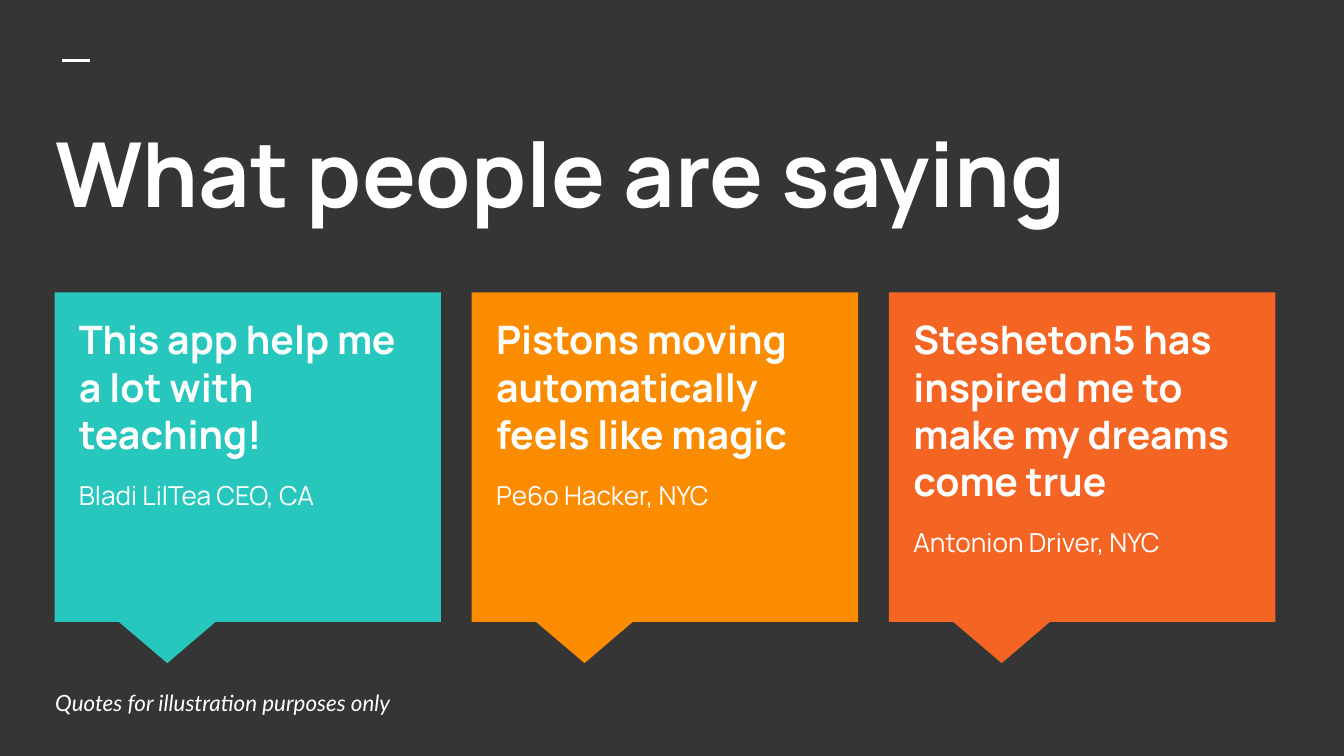
from lxml import etree
from pptx import Presentation
from pptx.dml.color import RGBColor
from pptx.enum.shapes import MSO_CONNECTOR, MSO_SHAPE
from pptx.enum.text import MSO_ANCHOR
from pptx.oxml.ns import qn
from pptx.util import Pt

STRAIGHT = MSO_CONNECTOR.STRAIGHT
CALLOUT = MSO_SHAPE.RECTANGULAR_CALLOUT
TOP, MIDDLE = MSO_ANCHOR.TOP, MSO_ANCHOR.MIDDLE

DARK = RGBColor(0x35, 0x35, 0x35)
WHITE = RGBColor(0xFF, 0xFF, 0xFF)
TEAL = RGBColor(0x27, 0xC7, 0xBD)
AMBER = RGBColor(0xFB, 0x8C, 0x00)
ORANGE = RGBColor(0xF4, 0x65, 0x24)

QUOTES = [
    (TEAL, "This app help me a lot with teaching!", "Bladi LilTea CEO, CA"),
    (AMBER, "Pistons moving automatically feels like magic", "Pe6o Hacker, NYC"),
    (ORANGE, "Stesheton5 has inspired me to make my dreams come true",
     "Antonion Driver, NYC"),
]
CARD_LEFT, CARD_TOP, CARD_WIDTH, CARD_HEIGHT = 29.2, 156.7, 207, 176.5
CARD_STEP = 223.5

prs = Presentation()
prs.slide_width, prs.slide_height = Pt(720), Pt(405)
slide = prs.slides.add_slide(prs.slide_layouts[6])
slide.background.fill.solid()
slide.background.fill.fore_color.rgb = DARK


def add_text_frame(left, top, width, height, anchor=TOP):
    """Add a wrapping text box with equal insets and return its frame."""
    frame = slide.shapes.add_textbox(
        Pt(left), Pt(top), Pt(width), Pt(height)).text_frame
    frame.word_wrap = True
    frame.vertical_anchor = anchor
    frame.margin_left = frame.margin_right = Pt(7.2)
    frame.margin_top = frame.margin_bottom = Pt(7.2)
    return frame


def write(paragraph, text, size, bold=False, italic=False, font="Manrope"):
    paragraph.text = text
    paragraph.font.name = font
    paragraph.font.size = Pt(size)
    paragraph.font.bold = bold
    paragraph.font.italic = italic
    paragraph.font.color.rgb = WHITE


dash = slide.shapes.add_connector(STRAIGHT, Pt(33.5), Pt(32.5), Pt(48), Pt(32.5))
dash.line.color.rgb = WHITE
dash.line.width = Pt(1.5)
etree.SubElement(dash._element.spPr, qn("a:effectLst"))

title = add_text_frame(22.5, 56, 679, 81)
write(title.paragraphs[0], "What people are saying", 48, bold=True)

for column, (color, quote, author) in enumerate(QUOTES):
    left = CARD_LEFT + column * CARD_STEP
    card = slide.shapes.add_shape(
        CALLOUT, Pt(left), Pt(CARD_TOP), Pt(CARD_WIDTH), Pt(CARD_HEIGHT))
    card.adjustments[0] = -0.208
    card.adjustments[1] = 0.625
    card.fill.solid()
    card.fill.fore_color.rgb = color
    card.line.fill.background()
    card.shadow.inherit = False

    words = add_text_frame(left + 6, CARD_TOP + 5.3, 195, 158)
    write(words.paragraphs[0], quote, 21, bold=True)
    byline = words.add_paragraph()
    write(byline, author, 14)
    byline.space_before = byline.space_after = Pt(12)

footnote = add_text_frame(22.5, 366.5, 492, 20, MIDDLE)
write(footnote.paragraphs[0], "Quotes for illustration purposes only", 12,
      italic=True, font="Lato")

prs.save("out.pptx")
